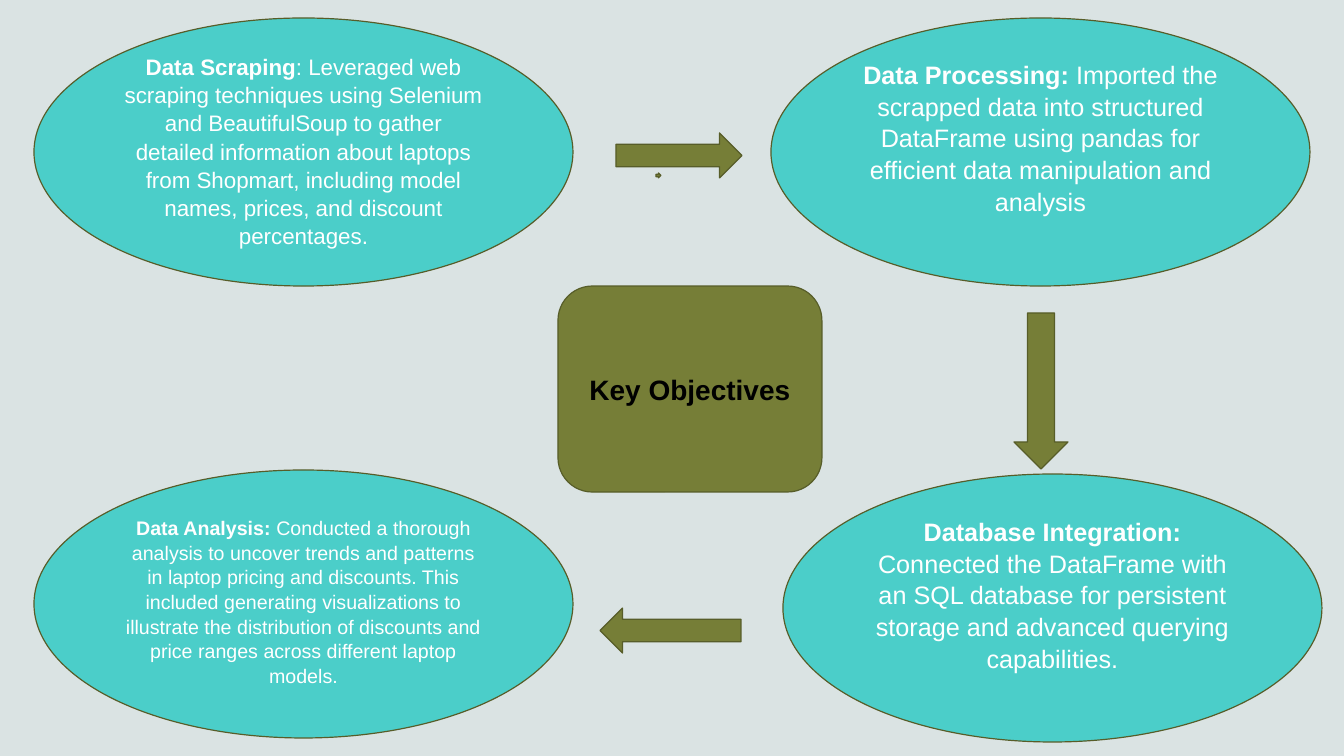
from pptx import Presentation
from pptx.dml.color import RGBColor
from pptx.enum.shapes import MSO_SHAPE as Preset
from pptx.enum.text import MSO_ANCHOR as Anchor, PP_ALIGN as Align
from pptx.util import Emu, Pt

EMU_PER_PX = 12192000 / 1344
SLIDE_WIDTH, SLIDE_HEIGHT = 1344, 756
STAGE_WIDTH, STAGE_HEIGHT = 539, 268

BACKGROUND = RGBColor(0xDA, 0xE3, 0xE3)
TEAL = RGBColor(0x4B, 0xCE, 0xC9)
OLIVE = RGBColor(0x76, 0x7E, 0x37)
OUTLINE = RGBColor(0x57, 0x5D, 0x29)
WHITE = RGBColor(0xFF, 0xFF, 0xFF)
BLACK = RGBColor(0x00, 0x00, 0x00)

# left, top, font size, extra space under the text, heading, body
STAGES = [
    (34, 18, 16, 3, "Data Scraping",
     ": Leveraged web scraping techniques using Selenium and BeautifulSoup "
     "to gather detailed information about laptops from Shopmart, including "
     "model names, prices, and discount percentages."),
    (771, 18, 18, 30, "Data Processing:",
     " Imported the scrapped data into structured DataFrame using pandas "
     "for efficient data manipulation and analysis"),
    (34, 470, 14, 6, "Data Analysis:",
     " Conducted a thorough analysis to uncover trends and patterns in laptop "
     "pricing and discounts. This included generating visualizations to "
     "illustrate the distribution of discounts and price ranges across "
     "different laptop models."),
    (783, 474, 18, 28, "Database Integration:",
     " Connected the DataFrame with an SQL database for persistent storage "
     "and advanced querying capabilities."),
]

# preset, box, rotation
ARROWS = [
    (Preset.RIGHT_ARROW, (656, 173, 5, 5), 0),
    (Preset.RIGHT_ARROW, (616, 133, 126, 45), 0),
    (Preset.DOWN_ARROW, (1014, 313, 54, 156), 0),
    (Preset.RIGHT_ARROW, (600, 608, 141, 45), 180),
]


def px(length):
    return Emu(round(length * EMU_PER_PX))


def add_outlined(slide, preset, box, fill):
    shape = slide.shapes.add_shape(preset, *map(px, box))
    shape.shadow.inherit = False
    shape.fill.solid()
    shape.fill.fore_color.rgb = fill
    shape.line.color.rgb = OUTLINE
    shape.line.width = Pt(0.85)
    return shape


def centre_text(shape, size, color):
    """Centre the shape's text, set its font and return its paragraph."""
    frame = shape.text_frame
    frame.word_wrap = True
    frame.vertical_anchor = Anchor.MIDDLE
    paragraph = frame.paragraphs[0]
    paragraph.alignment = Align.CENTER
    paragraph.font.name = "Arial"
    paragraph.font.size = Pt(size)
    paragraph.font.color.rgb = color
    return paragraph


def add_stage(slide, left, top, size, space_below, heading, body):
    box = (left, top, STAGE_WIDTH, STAGE_HEIGHT)
    stage = add_outlined(slide, Preset.OVAL, box, TEAL)
    stage.text_frame.margin_top = 0
    stage.text_frame.margin_bottom = px(space_below)
    paragraph = centre_text(stage, size, WHITE)
    paragraph.line_spacing = 1.05
    heading_run = paragraph.add_run()
    heading_run.text = heading
    heading_run.font.bold = True
    paragraph.add_run().text = body


def add_arrow(slide, preset, box, rotation):
    add_outlined(slide, preset, box, OLIVE).rotation = rotation


def add_hub(slide, box, label):
    hub = add_outlined(slide, Preset.ROUNDED_RECTANGLE, box, OLIVE)
    paragraph = centre_text(hub, 20, BLACK)
    paragraph.font.bold = True
    paragraph.add_run().text = label


def main():
    deck = Presentation()
    deck.slide_width, deck.slide_height = px(SLIDE_WIDTH), px(SLIDE_HEIGHT)
    slide = deck.slides.add_slide(deck.slide_layouts.get_by_name("Blank"))
    slide.background.fill.solid()
    slide.background.fill.fore_color.rgb = BACKGROUND

    for stage in STAGES:
        add_stage(slide, *stage)
    for arrow in ARROWS:
        add_arrow(slide, *arrow)
    add_hub(slide, (558, 286, 264, 206), "Key Objectives")

    deck.save("out.pptx")


if __name__ == "__main__":
    main()
